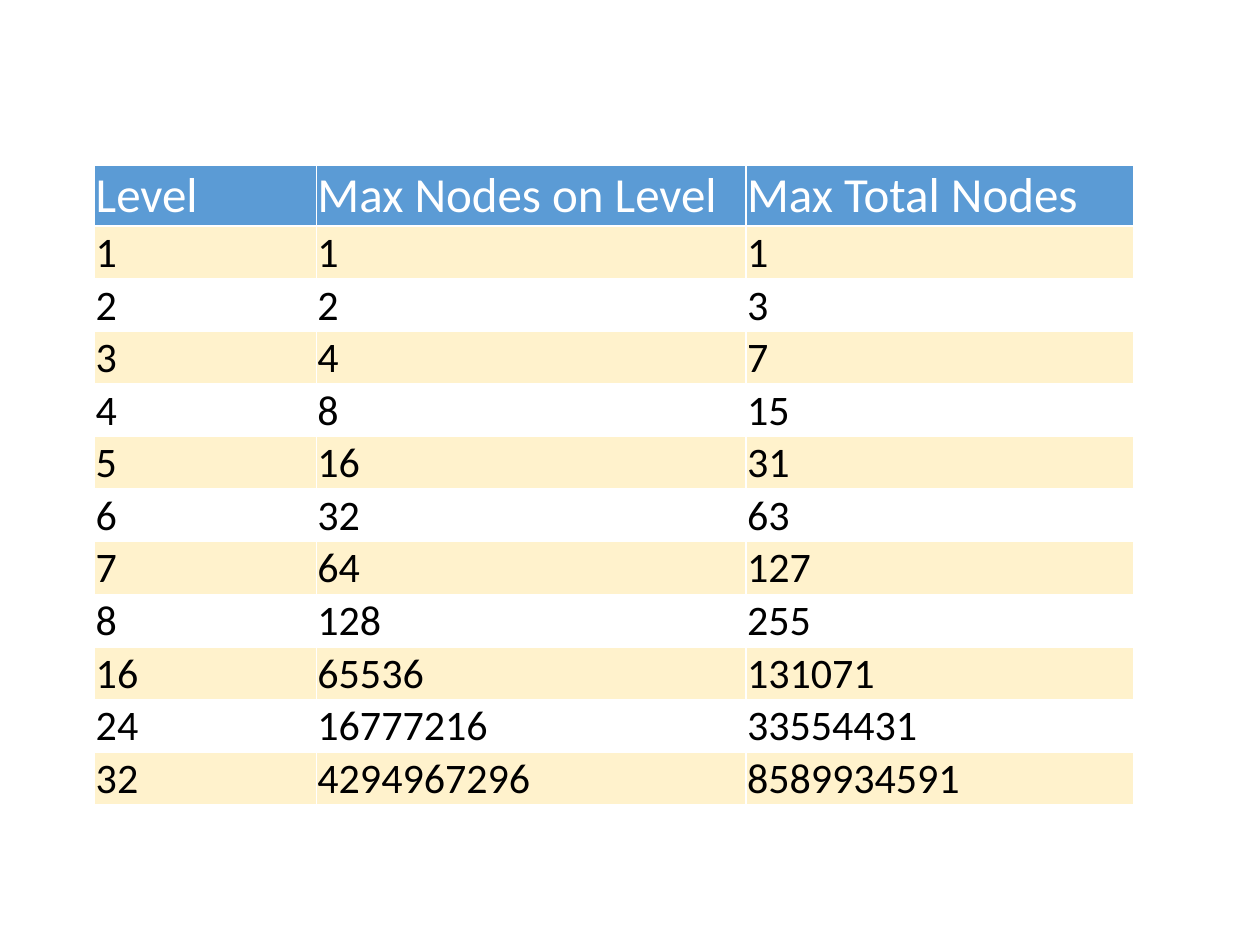
import pptx
import pptx.util
import pptx.dml.color
import pptx.enum.text
import lxml.etree
from pptx.util import Cm, Pt

# Content
HEAD = ("Level", "Max Nodes on Level", "Max Total Nodes")
ROWS = [
    (1, 1, 1),
    (2, 2, 3),
    (3, 4, 7),
    (4, 8, 15),
    (5, 16, 31),
    (6, 32, 63),
    (7, 64, 127),
    (8, 128, 255),
    (16, 65536, 131071),
    (24, 16777216, 33554431),
    (32, 4294967296, 8589934591),
]

# Look
HUES = {"head": "5B9BD5", "band": "FFF2CC", "line": "FFFFFF",
        "light": "FFFFFF", "dark": "000000"}
FONT = "Calibri"
WIDTHS = (4.47, 8.66, 7.82)
HEAD_H, ROW_H = 1.23, 1.06
LEFT, TOP = 1.91, 3.33
INSET = 0.02
NS = "{http://schemas.openxmlformats.org/drawingml/2006/main}"


def hue(name):
    return pptx.dml.color.RGBColor.from_string(HUES[name])


def add_lines(cell):
    """Draw a thin line on all four sides; lines come before the fill."""
    props = cell._tc.get_or_add_tcPr()
    for spot, side in enumerate(("lnL", "lnR", "lnT", "lnB")):
        line = lxml.etree.Element(NS + side, w=str(Pt(1)))
        fill = lxml.etree.SubElement(line, NS + "solidFill")
        lxml.etree.SubElement(fill, NS + "srgbClr", val=HUES["line"])
        props.insert(spot, line)


def fill_cell(cell, text, size, ink, back):
    cell.margin_left = cell.margin_right = cell.margin_top = Cm(INSET)
    cell.margin_bottom = 0
    cell.vertical_anchor = pptx.enum.text.MSO_ANCHOR.BOTTOM
    if back:
        cell.fill.solid()
        cell.fill.fore_color.rgb = hue(back)
    else:
        cell.fill.background()
    add_lines(cell)
    cell.text_frame.text = str(text)
    font = cell.text_frame.paragraphs[0].runs[0].font
    font.name, font.size, font.bold = FONT, Pt(size), False
    font.color.rgb = hue(ink)


def main():
    deck = pptx.Presentation()
    deck.slide_width, deck.slide_height = Cm(25.4), Cm(19.05)
    slide = deck.slides.add_slide(deck.slide_layouts[6])

    # Table frame
    high = HEAD_H + ROW_H * len(ROWS)
    table = slide.shapes.add_table(
        len(ROWS) + 1, len(HEAD), Cm(LEFT), Cm(TOP),
        Cm(sum(WIDTHS)), Cm(high)).table
    table.first_row = table.horz_banding = False
    for col, wide in zip(table.columns, WIDTHS):
        col.width = Cm(wide)

    # Header and banded rows
    for r, row in enumerate([HEAD] + ROWS):
        if r == 0:
            tall, look = HEAD_H, (28, "light", "head")
        else:
            tall, look = ROW_H, (24, "dark", "band" if r % 2 else None)
        table.rows[r].height = Cm(tall)
        for c, text in enumerate(row):
            fill_cell(table.cell(r, c), text, *look)

    deck.save("out.pptx")


if __name__ == "__main__":
    main()
